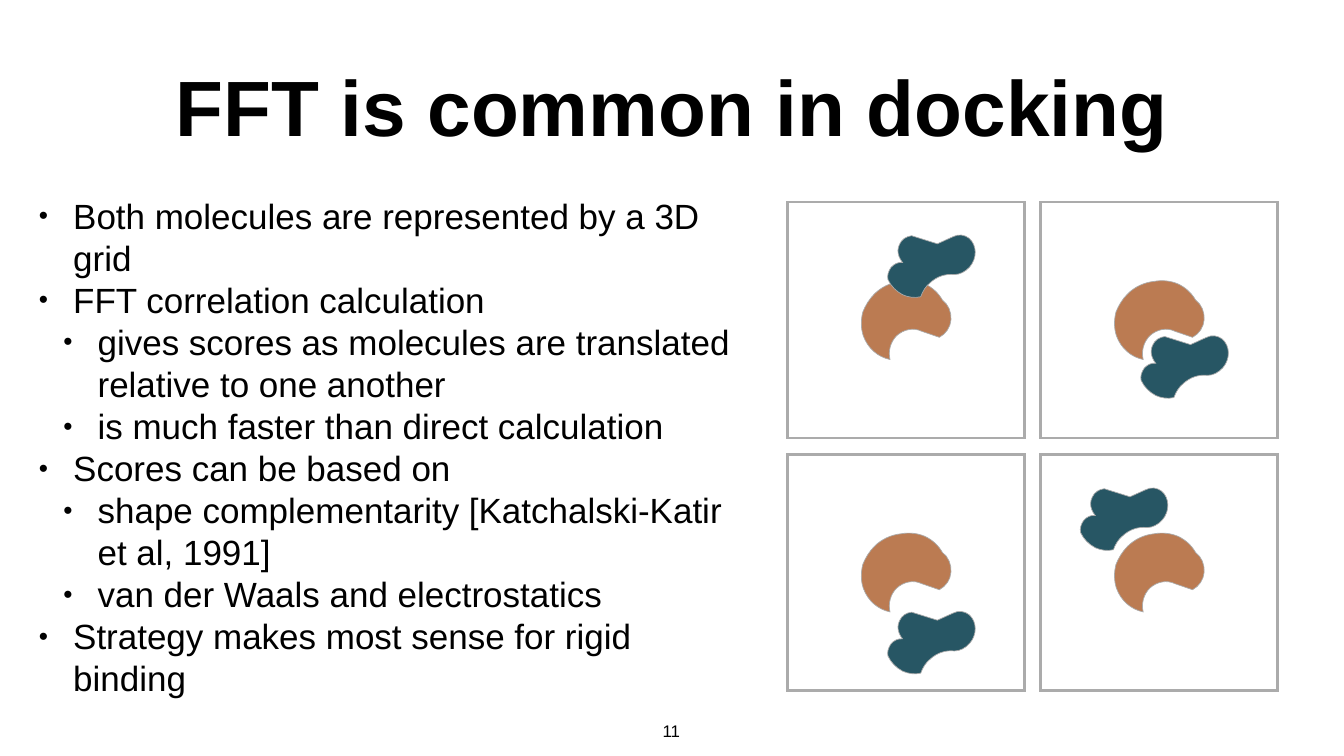
from lxml import etree
from pptx import Presentation
from pptx.dml.color import RGBColor
from pptx.enum.shapes import MSO_SHAPE
from pptx.enum.text import MSO_ANCHOR, PP_ALIGN
from pptx.oxml.ns import qn
from pptx.util import Cm, Pt

FONT = "Arial"
BLACK, GREY, ORANGE, TEAL = "000000", "ABABAB", "BB7B52", "275664"

UNIT = Cm(0.0254)  # one step of the molecule outlines

# Outlines: a start point, then lines (one point) or Bezier curves (three points)
RECEPTOR = [
    [(161, 39)],
    [(153, 25), (141, 14), (126, 7)],
    [(112, 1), (95, -1), (79, 2)],
    [(59, 4), (40, 13), (26, 27)],
    [(16, 37), (8, 50), (3, 63)],
    [(-1, 79), (-1, 95), (4, 110)],
    [(13, 135), (33, 152), (57, 157)],
    [(53, 140), (58, 122), (70, 110)],
    [(84, 97), (104, 93), (120, 101)],
    [(155, 113)],
    [(168, 106), (177, 93), (178, 78)],
    [(179, 63), (173, 48), (161, 39)],
]
LIGAND = [
    [(30, 55)],
    [(27, 51), (24, 47), (23, 43)],
    [(20, 35), (20, 27), (24, 19)],
    [(28, 9), (38, 3), (48, 2)],
    [(99, 18)],
    [(130, 4)],
    [(141, -2), (153, 0), (162, 7)],
    [(178, 21), (178, 47), (163, 64)],
    [(155, 73), (144, 79), (133, 79)],
    [(115, 77), (98, 83), (85, 95)],
    [(76, 102), (70, 112), (66, 123)],
    [(54, 126), (41, 124), (30, 119)],
    [(17, 112), (7, 102), (1, 89)],
    [(-1, 81), (2, 72), (7, 65)],
    [(13, 58), (21, 54), (30, 55)],
]

BULLETS = [
    (0, "Both molecules are represented by a 3D grid"),
    (0, "FFT correlation calculation"),
    (1, "gives scores as molecules are translated relative to one another"),
    (1, "is much faster than direct calculation"),
    (0, "Scores can be based on"),
    (1, "shape complementarity [Katchalski-Katir et al, 1991]"),
    (1, "van der Waals and electrostatics"),
    (0, "Strategy makes most sense for rigid binding"),
]

# Molecule offsets inside a panel in cm; the ligand's depend on (column, row)
RECEPTOR_AT = (3.71, 3.95)
LIGAND_AT = {
    (0, 0): (5.03, 1.65),
    (0, 1): (5.03, 7.9),
    (1, 0): (5.03, 6.73),
    (1, 1): (1.98, 1.68),
}


def rgb(value):
    return RGBColor.from_string(value)


def add_box(slide, left, top, width, height, anchor=MSO_ANCHOR.MIDDLE, wrap=True):
    tb = slide.shapes.add_textbox(Cm(left), Cm(top), Cm(width), Cm(height))
    tf = tb.text_frame
    tf.word_wrap = wrap
    tf.vertical_anchor = anchor
    tf.margin_left = tf.margin_right = tf.margin_top = tf.margin_bottom = Cm(0.2)
    return tf


def add_run(p, text, size, bold=False):
    r = p.add_run()
    r.text = text
    r.font.name = FONT
    r.font.size = Pt(size)
    r.font.bold = bold
    r.font.color.rgb = rgb(BLACK)


def set_bullet(p, level):
    pPr = p._p.get_or_add_pPr()
    pPr.set("marL", str(Cm(1.73 + 1.23 * level)))
    pPr.set("indent", str(Cm(-1.73)))
    etree.SubElement(pPr, qn("a:buSzPct")).set("val", "75000")
    etree.SubElement(pPr, qn("a:buFont")).set("typeface", FONT)
    etree.SubElement(pPr, qn("a:buChar")).set("char", "•")


def add_line_text(slide, box, text, size, bold=False, **frame):
    p = add_box(slide, *box, **frame).paragraphs[0]
    p.alignment = PP_ALIGN.CENTER
    add_run(p, text, size, bold)


def add_bullets(slide, box):
    tf = add_box(slide, *box)
    for i, (level, text) in enumerate(BULLETS):
        p = tf.add_paragraph() if i else tf.paragraphs[0]
        p.level = level
        p.line_spacing = Pt(60)
        set_bullet(p, level)
        add_run(p, text, 50)


def style(sp, line_width, fill=None):
    sp.shadow.inherit = False
    if fill:
        sp.fill.solid()
        sp.fill.fore_color.rgb = rgb(fill)
    else:
        sp.fill.background()
    sp.line.color.rgb = rgb(GREY)
    sp.line.width = Pt(line_width)
    etree.SubElement(sp.line._get_or_add_ln(), qn("a:miter")).set("lim", "800000")


def bend(sp, outline, corners):
    """Turn the straight segments of a freeform into Bezier curves."""
    min_x, min_y = (min(values) for values in zip(*corners))
    lines = list(sp._element.iter(qn("a:lnTo")))
    for line, segment in zip(lines, outline[1:]):
        if len(segment) == 1:
            continue
        line.tag = qn("a:cubicBezTo")
        line.remove(line[0])
        for x, y in segment:
            pt = etree.SubElement(line, qn("a:pt"))
            pt.set("x", str(x - min_x))
            pt.set("y", str(y - min_y))


def add_molecule(slide, outline, left, top, fill):
    corners = [segment[-1] for segment in outline]
    builder = slide.shapes.build_freeform(*corners[0], scale=UNIT)
    builder.add_line_segments(corners[1:], close=True)
    sp = builder.convert_to_shape(Cm(left), Cm(top))
    bend(sp, outline, corners)
    style(sp, 1, fill)


def add_panel(slide, left, top, width, height, ligand_at):
    for outline, (dx, dy), fill in ((RECEPTOR, RECEPTOR_AT, ORANGE),
                                    (LIGAND, ligand_at, TEAL)):
        add_molecule(slide, outline, left + dx, top + dy, fill)
    frame = slide.shapes.add_shape(MSO_SHAPE.RECTANGLE, Cm(left), Cm(top),
                                   Cm(width), Cm(height))
    style(frame, 4)


def add_docking_grid(slide, left, top, width, height, gap):
    panel_w, panel_h = (width - gap) / 2, (height - gap) / 2
    for (col, row), ligand_at in LIGAND_AT.items():
        add_panel(slide, left + col * (panel_w + gap), top + row * (panel_h + gap),
                  panel_w, panel_h, ligand_at)


def main():
    prs = Presentation()
    prs.slide_width, prs.slide_height = Cm(67.74), Cm(38.1)
    slide = prs.slides.add_slide(prs.slide_layouts[6])

    # Title and body
    add_line_text(slide, (1.75, 1.75, 64.21, 7.06), "FFT is common in docking", 112, bold=True)
    add_bullets(slide, (1.76, 8.86, 35.28, 27.33))
    # Page number
    add_line_text(slide, (33.15, 36.14, 1.37, 1.42), "11", 24,
                  anchor=MSO_ANCHOR.TOP, wrap=False)
    # Docking poses
    add_docking_grid(slide, 39.7, 10.18, 24.7, 24.62, 0.82)

    prs.save("out.pptx")


if __name__ == "__main__":
    main()
